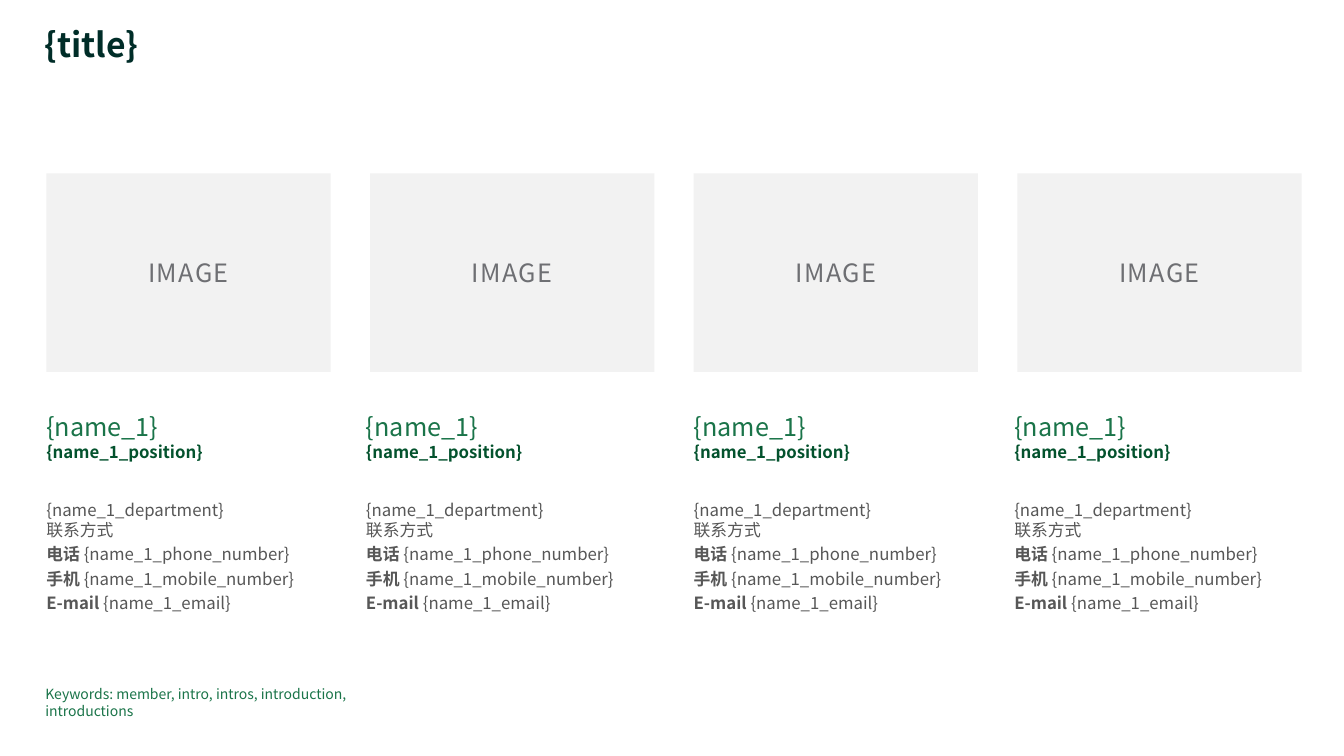
from lxml.etree import SubElement
from pptx import Presentation
from pptx.dml.color import RGBColor
from pptx.enum.shapes import MSO_SHAPE as Shape
from pptx.enum.text import MSO_ANCHOR as Anchor, MSO_AUTO_SIZE as AutoSize, PP_ALIGN as Align
from pptx.oxml.ns import qn
from pptx.util import Inches, Pt

FONT = "Noto Sans CJK JP"
COLORS = {
    "title": "002D28",
    "name": "1A7449",
    "position": "03522D",
    "body": "575757",
    "panel": "F2F2F2",
    "label": "6E6F73",
}
LEFT, PITCH, CARD_WIDTH = 0.46, 3.21, 2.82
IMAGE_TOP, IMAGE_HEIGHT = 1.72, 1.97
TEXT_TOP, TEXT_HEIGHT = 4.08, 2.02
TEXT_LEFTS = [0.46, 3.63, 6.88, 10.06]
MEMBER_LINES = [
    ([("{name_1}", False)], 18, "name", 0, 0),
    ([("{name_1_position}", True)], 12, "position", 0, 24),
    ([("{name_1_department}\v联系方式", False)], 12, "body", 3, 0),
    ([("电话 ", True), ("{name_1_phone_number}", False)], 12, "body", 3, 0),
    ([("手机 ", True), ("{name_1_mobile_number}", False)], 12, "body", 3, 0),
    ([("E-mail ", True), ("{name_1_email}", False)], 12, "body", 3, 0),
]


def style_run(span, size, color, bold=False):
    span.font.name = FONT
    span.font.size = Pt(size)
    span.font.bold = bold
    span.font.color.rgb = RGBColor.from_string(COLORS[color])
    SubElement(span.font._element, qn("a:ea"), typeface=FONT)


def prepare_frame(frame):
    frame.margin_left = frame.margin_right = 0
    frame.margin_top = frame.margin_bottom = 0
    frame.word_wrap = True
    frame.auto_size = AutoSize.SHAPE_TO_FIT_TEXT
    frame.vertical_anchor = Anchor.TOP


deck = Presentation()
deck.slide_width, deck.slide_height = Inches(13.33), Inches(7.5)
page = deck.slides.add_slide(deck.slide_layouts[5])

title = page.shapes.title
title.left, title.top = Inches(0.44), Inches(0.28)
title.width, title.height = Inches(11.03), Inches(0.37)
prepare_frame(title.text_frame)
title.text_frame.text = "{title}"
title_para = title.text_frame.paragraphs[0]
title_para.alignment = Align.LEFT
title_para.line_spacing = 0.9
style_run(title_para.runs[0], 24, "title", True)

for column, text_left in enumerate(TEXT_LEFTS):
    panel = page.shapes.add_shape(
        Shape.RECTANGLE, Inches(LEFT + column * PITCH), Inches(IMAGE_TOP),
        Inches(CARD_WIDTH), Inches(IMAGE_HEIGHT))
    panel.shadow.inherit = False
    panel.fill.solid()
    panel.fill.fore_color.rgb = RGBColor.from_string(COLORS["panel"])
    panel.line.fill.background()
    panel.text_frame.text = "IMAGE"
    panel.text_frame.vertical_anchor = Anchor.MIDDLE
    label = panel.text_frame.paragraphs[0]
    label.alignment = Align.CENTER
    style_run(label.runs[0], 18, "label")
    label.runs[0].font._element.set("spc", "100")

    box = page.shapes.add_textbox(
        Inches(text_left), Inches(TEXT_TOP), Inches(CARD_WIDTH), Inches(TEXT_HEIGHT))
    frame = box.text_frame
    prepare_frame(frame)
    for row, (parts, size, color, before, after) in enumerate(MEMBER_LINES):
        para = frame.add_paragraph() if row else frame.paragraphs[0]
        para.space_before, para.space_after = Pt(before), Pt(after)
        for text, bold in parts:
            for index, piece in enumerate(text.split("\v")):
                if index:
                    para.add_line_break()
                    SubElement(para._p[-1], qn("a:rPr"), sz=str(size * 100))
                span = para.add_run()
                span.text = piece
                style_run(span, size, color, bold)

keywords = page.shapes.add_textbox(Inches(0.45), Inches(6.8), Inches(3.64), Inches(0.17))
prepare_frame(keywords.text_frame)
keywords.text_frame.text = "Keywords: member, intro, intros, introduction, introductions"
keywords_para = keywords.text_frame.paragraphs[0]
keywords_para.space_after = Pt(1.1)
style_run(keywords_para.runs[0], 10, "name")

deck.save("out.pptx")
